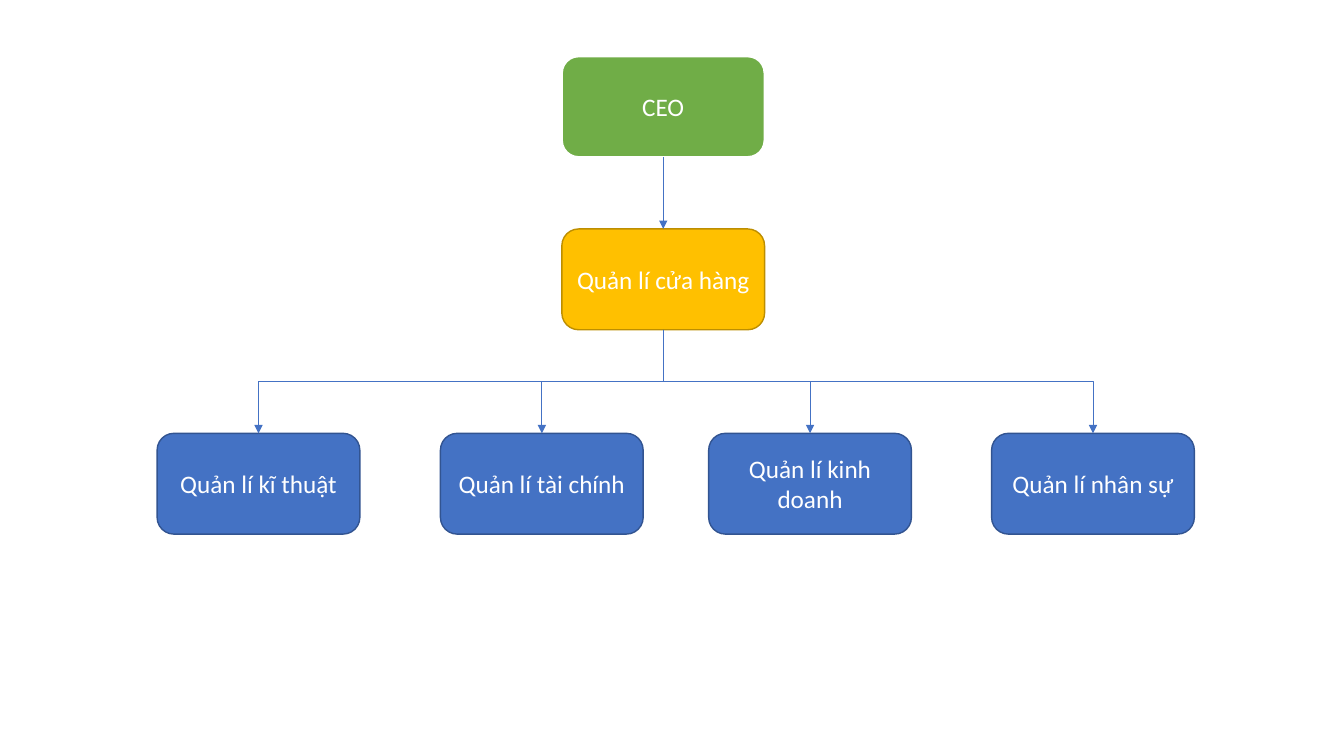
from lxml import etree
from pptx import Presentation
from pptx.dml.color import RGBColor
from pptx.enum.shapes import MSO_CONNECTOR, MSO_SHAPE
from pptx.enum.text import MSO_ANCHOR, PP_ALIGN
from pptx.oxml.ns import qn
from pptx.util import Cm, Pt

ROUNDED = MSO_SHAPE.ROUNDED_RECTANGLE
STRAIGHT, ELBOW = MSO_CONNECTOR.STRAIGHT, MSO_CONNECTOR.ELBOW
MIDDLE, CENTER = MSO_ANCHOR.MIDDLE, PP_ALIGN.CENTER
TOP_SIDE, BOTTOM_SIDE = 0, 2

COLORS = {
    "green": "70AD47", "white": "FFFFFF",
    "gold": "FFC000", "dark_gold": "BD8E00",
    "blue": "4472C4", "dark_blue": "325491",
}
FONT = "Calibri"
BOX_W, BOX_H = Cm(5.11), Cm(2.54)
LEAD_LEFT = 14.16
CEO_TOP, STORE_TOP, TEAM_TOP = 1.42, 5.77, 10.92

CEO = "CEO"
STORE_MANAGER = "Quản lí cửa hàng"
TEAM_MANAGERS = [  # label, left in cm
    ("Quản lí kĩ thuật", 3.96),
    ("Quản lí tài chính", 11.1),
    ("Quản lí kinh doanh", 17.86),
    ("Quản lí nhân sự", 24.99),
]


def rgb(name):
    return RGBColor.from_string(COLORS[name])


def add_box(slide, label, left, top, fill, line, line_width=1):
    s = slide.shapes.add_shape(ROUNDED, Cm(left), Cm(top), BOX_W, BOX_H)
    s.shadow.inherit = False
    s.fill.solid()
    s.fill.fore_color.rgb = rgb(fill)
    s.line.color.rgb = rgb(line)
    s.line.width = Pt(line_width)
    tf = s.text_frame
    tf.text = label
    tf.word_wrap = True
    tf.vertical_anchor = MIDDLE
    p = tf.paragraphs[0]
    p.alignment = CENTER
    font = p.runs[0].font
    font.name, font.size = FONT, Pt(18)
    font.color.rgb = rgb("white")
    return s


def add_arrow(slide, upper, lower, kind):
    """Join the bottom of the upper box to the top of the lower one."""
    c = slide.shapes.add_connector(kind, 0, 0, 0, 0)
    c.begin_connect(upper, BOTTOM_SIDE)
    c.end_connect(lower, TOP_SIDE)
    c.line.color.rgb = rgb("blue")
    c.line.width = Pt(0.5)
    etree.SubElement(c.line._get_or_add_ln(), qn("a:tailEnd"), type="triangle")
    etree.SubElement(c._element.spPr, qn("a:effectLst"))
    return c


def add_elbow(slide, upper, lower):
    """An elbow runs sideways first, so turn it a quarter to leave downwards."""
    c = add_arrow(slide, upper, lower, ELBOW)
    start_x = upper.left + upper.width // 2
    end_x = lower.left + lower.width // 2
    start_y, end_y = upper.top + upper.height, lower.top
    c.width, c.height = end_y - start_y, abs(end_x - start_x)
    c.left = (start_x + end_x - c.width) // 2
    c.top = (start_y + end_y - c.height) // 2
    goes_right = end_x > start_x
    xfrm = c._element.spPr.find(qn("a:xfrm"))
    xfrm.set("rot", str((270 if goes_right else 90) * 60000))
    xfrm.set("flipH", "1" if goes_right else "0")
    xfrm.set("flipV", "0")


def main():
    prs = Presentation()
    prs.slide_width, prs.slide_height = Cm(33.87), Cm(19.05)
    slide = prs.slides.add_slide(prs.slide_layouts[6])

    ceo = add_box(slide, CEO, LEAD_LEFT, CEO_TOP, "green", "white", 1.5)
    store = add_box(slide, STORE_MANAGER, LEAD_LEFT, STORE_TOP, "gold", "dark_gold")
    add_arrow(slide, ceo, store, STRAIGHT)
    for label, left in TEAM_MANAGERS:
        box = add_box(slide, label, left, TEAM_TOP, "blue", "dark_blue")
        add_elbow(slide, store, box)

    prs.save("out.pptx")


if __name__ == "__main__":
    main()
